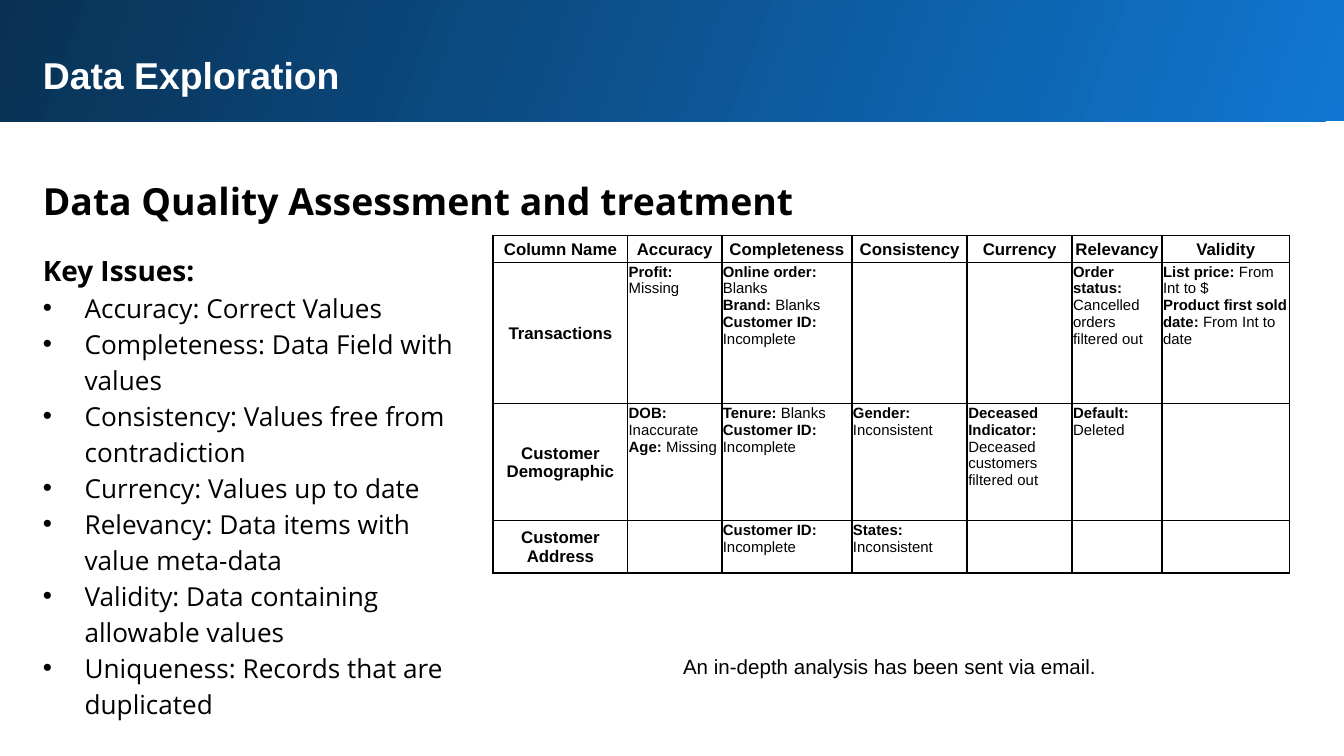
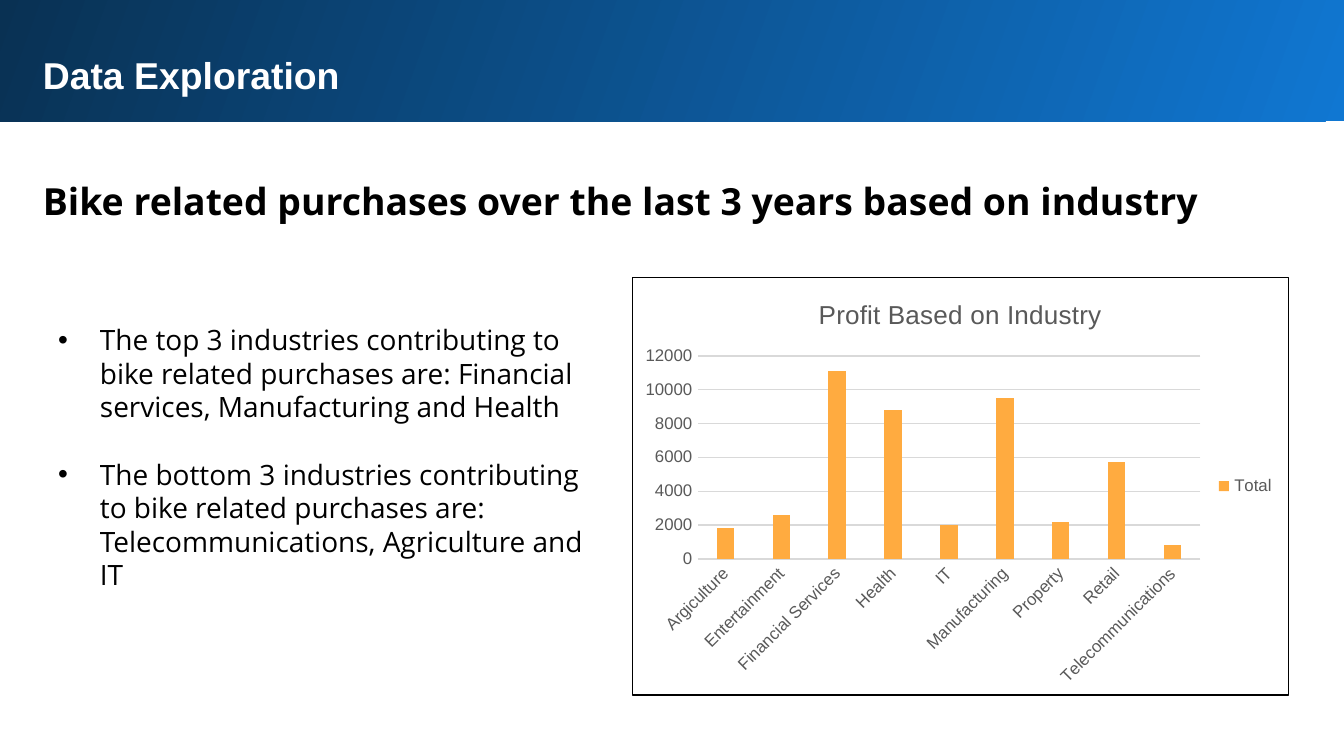
from lxml import etree
from pptx import Presentation
from pptx import util as u
from pptx.chart import data as chart_data
from pptx.dml import color
from pptx.enum import chart as chart_enum
from pptx.enum import shapes, text
from pptx.oxml import ns

COLORS = {
    "ink": "000000",
    "title": "FFFFFF",
    "band_light": "1077D2",
    "band_dark": "093153",
    "bar": "FFAB40",
    "label": "595959",
    "grid": "D9D9D9",
}
SANS = "Arial"
BODY = "Open Sans"
INDENT = 0.79

ISSUES = [
    "Accuracy: Correct Values",
    "Completeness: Data Field with values",
    "Consistency: Values free from contradiction",
    "Currency: Values up to date",
    "Relevancy: Data items with value meta-data",
    "Validity: Data containing allowable values",
    "Uniqueness: Records that are duplicated",
]
POINTS = [
    "The top 3 industries contributing to bike related purchases are: "
    "Financial services, Manufacturing and Health",
    "The bottom 3 industries contributing to bike related purchases are: "
    "Telecommunications, Agriculture and IT",
]

CHECKS = ["Column Name", "Accuracy", "Completeness", "Consistency",
          "Currency", "Relevancy", "Validity"]
FINDINGS = {
    "Transactions": {
        "Accuracy": [("Profit:", "Missing")],
        "Completeness": [("Online order:", "Blanks"), ("Brand:", "Blanks"),
                         ("Customer ID:", "Incomplete")],
        "Relevancy": [("Order status:", "Cancelled orders filtered out")],
        "Validity": [("List price:", "From Int to $"),
                     ("Product first sold date:", "From Int to date")],
    },
    "Customer Demographic": {
        "Accuracy": [("DOB:", "Inaccurate"), ("Age:", "Missing")],
        "Completeness": [("Tenure:", "Blanks"), ("Customer ID:", "Incomplete")],
        "Consistency": [("Gender:", "Inconsistent")],
        "Currency": [("Deceased Indicator:", "Deceased customers filtered out")],
        "Relevancy": [("Default:", "Deleted")],
    },
    "Customer Address": {
        "Completeness": [("Customer ID:", "Incomplete")],
        "Consistency": [("States:", "Inconsistent")],
    },
}
COLUMN_WIDTHS = [2.54, 1.78, 2.46, 2.18, 1.98, 1.7, 2.41]
ROW_HEIGHTS = [0.51, 2.67, 2.21, 0.99]

PROFITS = {
    "Argiculture": 1800,
    "Entertainment": 2600,
    "Financial Services": 11100,
    "Health": 8800,
    "IT": 2000,
    "Manufacturing": 9500,
    "Property": 2200,
    "Retail": 5700,
    "Telecommunications": 800,
}


def rgb(name):
    return color.RGBColor.from_string(COLORS[name])


def lengths(box):
    return [u.Cm(value) for value in box]


def style(font, size, face=SANS, ink="ink", bold=False):
    font.size = u.Pt(size)
    font.name = face
    font.bold = bold
    font.color.rgb = rgb(ink)


def add_bullet(para):
    props = para._p.get_or_add_pPr()
    props.set("marL", str(u.Cm(INDENT)))
    props.set("indent", str(-u.Cm(INDENT)))
    etree.SubElement(props, ns.qn("a:buFont")).set("typeface", SANS)
    etree.SubElement(props, ns.qn("a:buChar")).set("char", "•")


def add_text(page, box, lines, size, face=BODY, ink="ink", bold=False,
             inset=0.25, spacing=None, bullets=False, gap=0, wrap=True):
    frame = page.shapes.add_textbox(*lengths(box)).text_frame
    frame.word_wrap = wrap
    frame.auto_size = text.MSO_AUTO_SIZE.SHAPE_TO_FIT_TEXT
    frame.margin_left = frame.margin_right = u.Cm(inset)
    frame.margin_top = frame.margin_bottom = u.Cm(inset)
    frame.text = "\n".join(lines)
    for index, para in enumerate(frame.paragraphs):
        if bullets:
            add_bullet(para)
        if spacing:
            para.line_spacing = spacing
        if gap and index:
            para.space_before = u.Pt(gap)
        for span in para.runs:
            style(span.font, size, face, ink, bold)
    return frame


def add_band(page, box):
    band = page.shapes.add_shape(shapes.MSO_SHAPE.RECTANGLE, *lengths(box))
    band.shadow.inherit = False
    band.line.fill.background()
    band.fill.gradient()
    band.fill.gradient_angle = 160
    for stop, position, name in zip(band.fill.gradient_stops, (0, 1),
                                    ("band_light", "band_dark")):
        stop.position = position
        stop.color.rgb = rgb(name)


def add_page(deck, heading):
    page = deck.slides.add_slide(deck.slide_layouts[6])
    add_band(page, (-0.05, -0.05, 25.53, 2.34))
    add_text(page, (0.56, 0.74, 23.8, 1.3), ["Data Exploration"], 20,
             face=SANS, ink="title", bold=True)
    add_text(page, (0.56, 3, 23.8, 1.42), [heading], 20, bold=True, spacing=1.15)
    return page


def add_issues(page, box):
    frame = add_text(page, box, ["Key Issues:"] + ISSUES, 14,
                     spacing=1.15, bullets=True)
    lead = frame.paragraphs[0]
    props = lead._p.pPr
    for tag in ("a:buFont", "a:buChar"):
        props.remove(props.find(ns.qn(tag)))
    props.set("marL", "0")
    props.set("indent", "0")
    style(lead.runs[0].font, 15, BODY, bold=True)


def format_cell(cell):
    cell.margin_left = cell.margin_right = cell.margin_top = u.Cm(0.02)
    cell.margin_bottom = 0
    props = cell._tc.get_or_add_tcPr()
    for side in ("lnL", "lnR", "lnT", "lnB"):
        line = etree.SubElement(props, ns.qn("a:" + side), w=str(u.Pt(1)))
        fill = etree.SubElement(line, ns.qn("a:solidFill"))
        etree.SubElement(fill, ns.qn("a:srgbClr"), val=COLORS["ink"])
    cell.fill.background()


def write_label(cell, label):
    cell.vertical_anchor = text.MSO_ANCHOR.MIDDLE
    para = cell.text_frame.paragraphs[0]
    para.text = label
    para.alignment = text.PP_ALIGN.CENTER
    style(para.runs[0].font, 9, bold=True)


def write_findings(cell, findings):
    para = cell.text_frame.paragraphs[0]
    for index, (field, result) in enumerate(findings):
        if index:
            para.add_line_break()
        for words, bold in ((field + " ", True), (result, False)):
            span = para.add_run()
            span.text = words
            style(span.font, 8, bold=bold)


def add_quality_table(page, left, top):
    box = (left, top, sum(COLUMN_WIDTHS), sum(ROW_HEIGHTS))
    table = page.shapes.add_table(len(ROW_HEIGHTS), len(CHECKS), *lengths(box)).table
    table.first_row = table.horz_banding = False
    for column, width in zip(table.columns, COLUMN_WIDTHS):
        column.width = u.Cm(width)
    for row, height in zip(table.rows, ROW_HEIGHTS):
        row.height = u.Cm(height)
    for cell in table.iter_cells():
        format_cell(cell)
    for column, check in enumerate(CHECKS):
        write_label(table.cell(0, column), check)
    for row, (source, findings) in enumerate(FINDINGS.items(), 1):
        write_label(table.cell(row, 0), source)
        for check, found in findings.items():
            write_findings(table.cell(row, CHECKS.index(check)), found)


def add_chart_border(chart):
    space = chart._chartSpace
    props = etree.Element(ns.qn("c:spPr"))
    etree.SubElement(props, ns.qn("a:noFill"))
    line = etree.SubElement(props, ns.qn("a:ln"), w=str(u.Pt(0.75)))
    fill = etree.SubElement(line, ns.qn("a:solidFill"))
    etree.SubElement(fill, ns.qn("a:srgbClr"), val=COLORS["ink"])
    space.find(ns.qn("c:txPr")).addprevious(props)


def format_axes(chart):
    for axis in (chart.category_axis, chart.value_axis):
        axis.major_tick_mark = axis.minor_tick_mark = chart_enum.XL_TICK_MARK.NONE
        style(axis.tick_labels.font, 9, ink="label")
    chart.category_axis._element.txPr.bodyPr.set("rot", "-2700000")
    chart.value_axis.format.line.fill.background()
    chart.value_axis.has_major_gridlines = True
    for line in (chart.category_axis.format.line,
                 chart.value_axis.major_gridlines.format.line):
        line.color.rgb = rgb("grid")
        line.width = u.Pt(0.75)


def add_profit_chart(page, box):
    data = chart_data.CategoryChartData()
    data.categories = list(PROFITS)
    data.add_series("Total", list(PROFITS.values()))
    chart = page.shapes.add_chart(chart_enum.XL_CHART_TYPE.COLUMN_CLUSTERED,
                                  *lengths(box), data).chart
    style(chart.font, 10)
    add_chart_border(chart)
    chart.has_title = True
    chart.chart_title.include_in_layout = False
    title = chart.chart_title.text_frame
    title.text = "Profit Based on Industry"
    style(title.paragraphs[0].runs[0].font, 14, ink="label")
    chart.has_legend = True
    chart.legend.position = chart_enum.XL_LEGEND_POSITION.RIGHT
    chart.legend.include_in_layout = False
    style(chart.legend.font, 9, ink="label")
    format_axes(chart)
    plot = chart.plots[0]
    plot.vary_by_categories = False
    plot.gap_width = 219
    plot.overlap = -27
    bars = plot.series[0].format.fill
    bars.solid()
    bars.fore_color.rgb = rgb("bar")


def add_quality_page(deck):
    page = add_page(deck, "Data Quality Assessment and treatment")
    add_issues(page, (0.56, 4.45, 8.28, 10.24))
    add_quality_table(page, 9.32, 4.45)
    add_text(page, (12.78, 12.24, 8.13, 0.74),
             ["An in-depth analysis has been sent via email."], 11,
             face=SANS, inset=0.13, wrap=False)


def add_industry_page(deck):
    page = add_page(
        deck, "Bike related purchases over the last 3 years based on industry")
    add_profit_chart(page, (11.94, 5.23, 12.42, 7.92))
    add_text(page, (0.97, 5.97, 10.46, 5.99), POINTS, 15,
             inset=0.13, bullets=True, gap=18)


def main():
    deck = Presentation()
    deck.slide_width, deck.slide_height = lengths((25.4, 14.29))
    add_quality_page(deck)
    add_industry_page(deck)
    deck.save("out.pptx")


if __name__ == "__main__":
    main()
